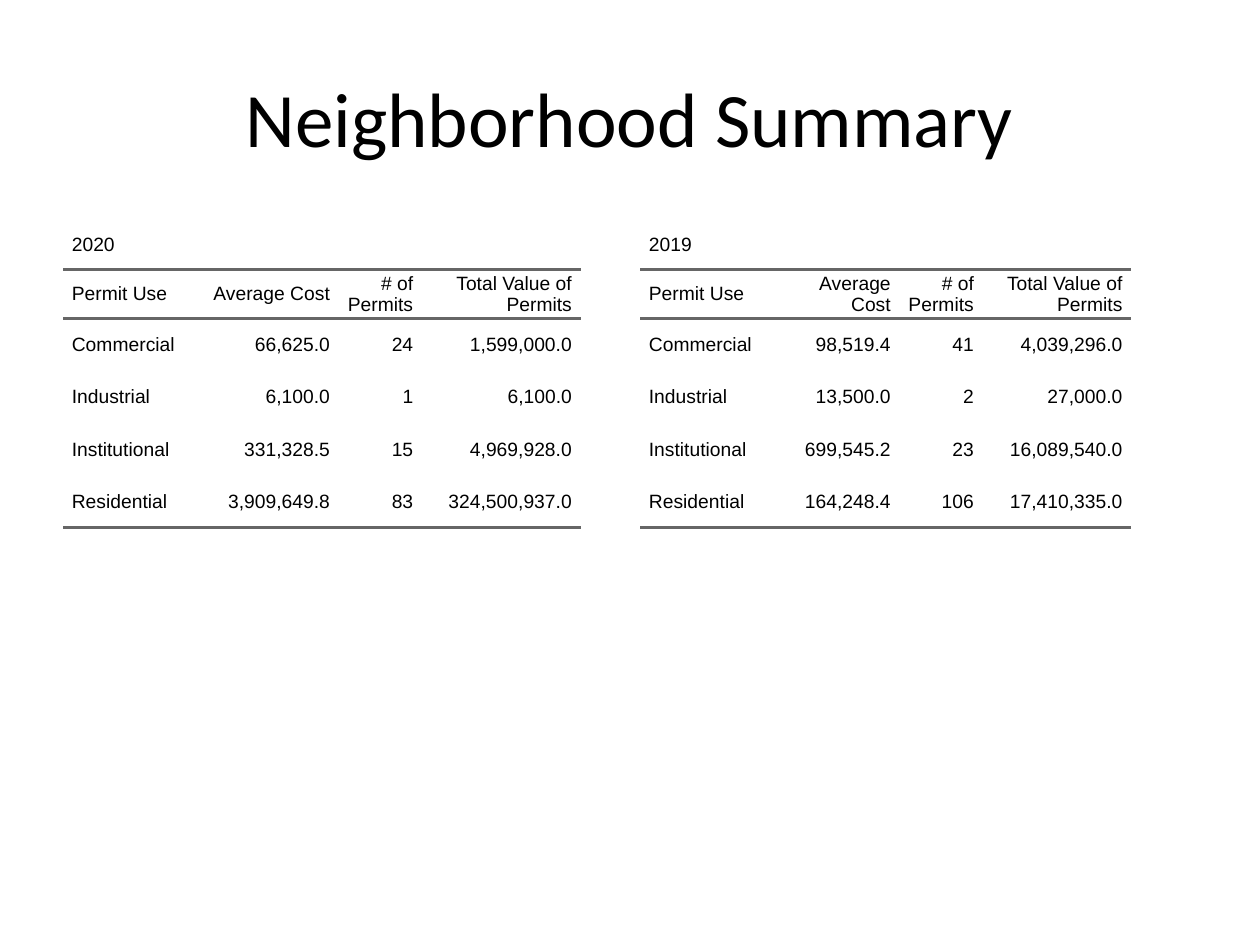
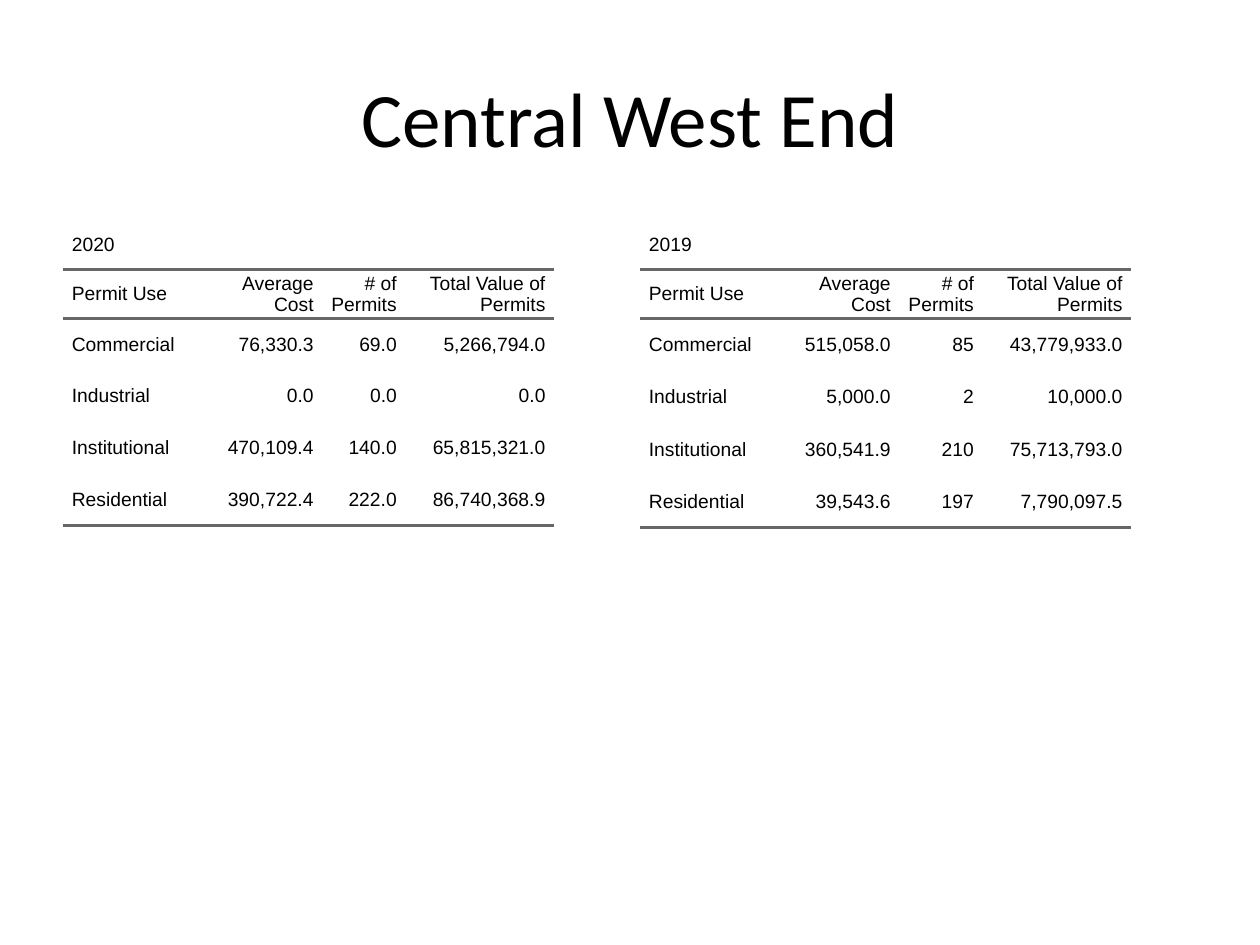
from lxml.etree import SubElement
from pptx import Presentation
from pptx.dml.color import RGBColor
from pptx.enum.text import MSO_ANCHOR as Anchor, PP_ALIGN as Align
from pptx.oxml.ns import qn
from pptx.util import Inches, Pt

WIDTH, HEIGHT = Inches(10), Inches(7.5)
INK, RULE = "000000", "666666"
TITLE_FONT, TABLE_FONT = "Calibri", "Arial"
TITLE_BOX = (0.05, 0.04, 0.9, 0.167)
TABLE_TOP = 0.2333
LEFT_TABLE, RIGHT_TABLE = 0.05, 0.508
HEAD_ROW = 0.39
BODY_HEIGHT = 1.66
INDENT = Inches(0.07)
PLAIN_STYLE = "{2D5ABB26-0587-4C30-8999-92F81FD0307C}"
HEADINGS = ("Permit Use", "Average Cost", "# of Permits", "Total Value of Permits")
USES = ("Commercial", "Industrial", "Institutional", "Residential")
NARROW = (1.1, 0.96, 0.66, 1.18)
WIDE = (1.1, 1.09, 0.66, 1.26)

SUMMARY_2020 = (
    ("66,625.0", "24", "1,599,000.0"),
    ("6,100.0", "1", "6,100.0"),
    ("331,328.5", "15", "4,969,928.0"),
    ("3,909,649.8", "83", "324,500,937.0"),
)
SUMMARY_2019 = (
    ("98,519.4", "41", "4,039,296.0"),
    ("13,500.0", "2", "27,000.0"),
    ("699,545.2", "23", "16,089,540.0"),
    ("164,248.4", "106", "17,410,335.0"),
)
WEST_END_2020 = (
    ("76,330.3", "69.0", "5,266,794.0"),
    ("0.0", "0.0", "0.0"),
    ("470,109.4", "140.0", "65,815,321.0"),
    ("390,722.4", "222.0", "86,740,368.9"),
)
WEST_END_2019 = (
    ("515,058.0", "85", "43,779,933.0"),
    ("5,000.0", "2", "10,000.0"),
    ("360,541.9", "210", "75,713,793.0"),
    ("39,543.6", "197", "7,790,097.5"),
)


def color(hex_string):
    return RGBColor.from_string(hex_string)


def style_font(paragraph, name, size):
    paragraph.font.name = name
    paragraph.font.size = Pt(size)
    paragraph.font.color.rgb = color(INK)


def add_titled_slide(presentation, text):
    slide = presentation.slides.add_slide(presentation.slide_layouts[5])
    title = slide.shapes.title
    left, top, width, height = TITLE_BOX
    title.left, title.width = int(WIDTH * left), int(WIDTH * width)
    title.top, title.height = int(HEIGHT * top), int(HEIGHT * height)
    title.text_frame.text = text
    title.text_frame.vertical_anchor = Anchor.MIDDLE
    paragraph = title.text_frame.paragraphs[0]
    paragraph.alignment = Align.CENTER
    style_font(paragraph, TITLE_FONT, 44)
    return slide


def add_rule(cell, side):
    properties = cell._tc.get_or_add_tcPr()
    line = SubElement(properties, qn(f"a:{side}"), w=str(Pt(2)))
    fill = SubElement(line, qn("a:solidFill"))
    SubElement(fill, qn("a:srgbClr"), val=RULE)


def write_cell(cell, text, alignment, sides):
    cell.margin_left = cell.margin_right = cell.margin_top = cell.margin_bottom = 0
    cell.vertical_anchor = Anchor.MIDDLE
    cell.text = text
    paragraph = cell.text_frame.paragraphs[0]
    paragraph.alignment = alignment
    properties = paragraph._p.get_or_add_pPr()
    for margin in ("marL", "marR"):
        properties.set(margin, str(INDENT))
    style_font(paragraph, TABLE_FONT, 11)
    for side in sides:
        add_rule(cell, side)
    cell.fill.background()


def add_permit_table(slide, left, year, values, widths=NARROW, body_height=BODY_HEIGHT):
    rows = [(year, "", "", ""), HEADINGS]
    rows += [(use, *numbers) for use, numbers in zip(USES, values)]
    heights = [HEAD_ROW] * 2 + [body_height / len(USES)] * len(USES)
    frame = slide.shapes.add_table(
        len(rows), len(widths), int(WIDTH * left), int(HEIGHT * TABLE_TOP),
        Inches(sum(widths)), Inches(sum(heights)))
    frame.element.find(".//" + qn("a:tableStyleId")).text = PLAIN_STYLE
    table = frame.table
    table.first_row = table.horz_banding = False
    for column, width in zip(table.columns, widths):
        column.width = Inches(width)
    for row, height in zip(table.rows, heights):
        row.height = Inches(height)
    rules = {1: ("lnT", "lnB"), len(rows) - 1: ("lnB",)}
    for row_index, texts in enumerate(rows):
        for column_index, text in enumerate(texts):
            alignment = Align.RIGHT if column_index else Align.LEFT
            write_cell(table.cell(row_index, column_index), text, alignment,
                       rules.get(row_index, ()))
    table.cell(0, 0).merge(table.cell(0, len(widths) - 1))


def main():
    presentation = Presentation()
    presentation.slide_width, presentation.slide_height = WIDTH, HEIGHT

    summary = add_titled_slide(presentation, "Neighborhood Summary")
    add_permit_table(summary, LEFT_TABLE, "2020", SUMMARY_2020, widths=WIDE)
    add_permit_table(summary, RIGHT_TABLE, "2019", SUMMARY_2019)

    west_end = add_titled_slide(presentation, "Central West End")
    add_permit_table(west_end, LEFT_TABLE, "2020", WEST_END_2020, body_height=1.64)
    add_permit_table(west_end, RIGHT_TABLE, "2019", WEST_END_2019)

    presentation.save("out.pptx")


if __name__ == "__main__":
    main()
